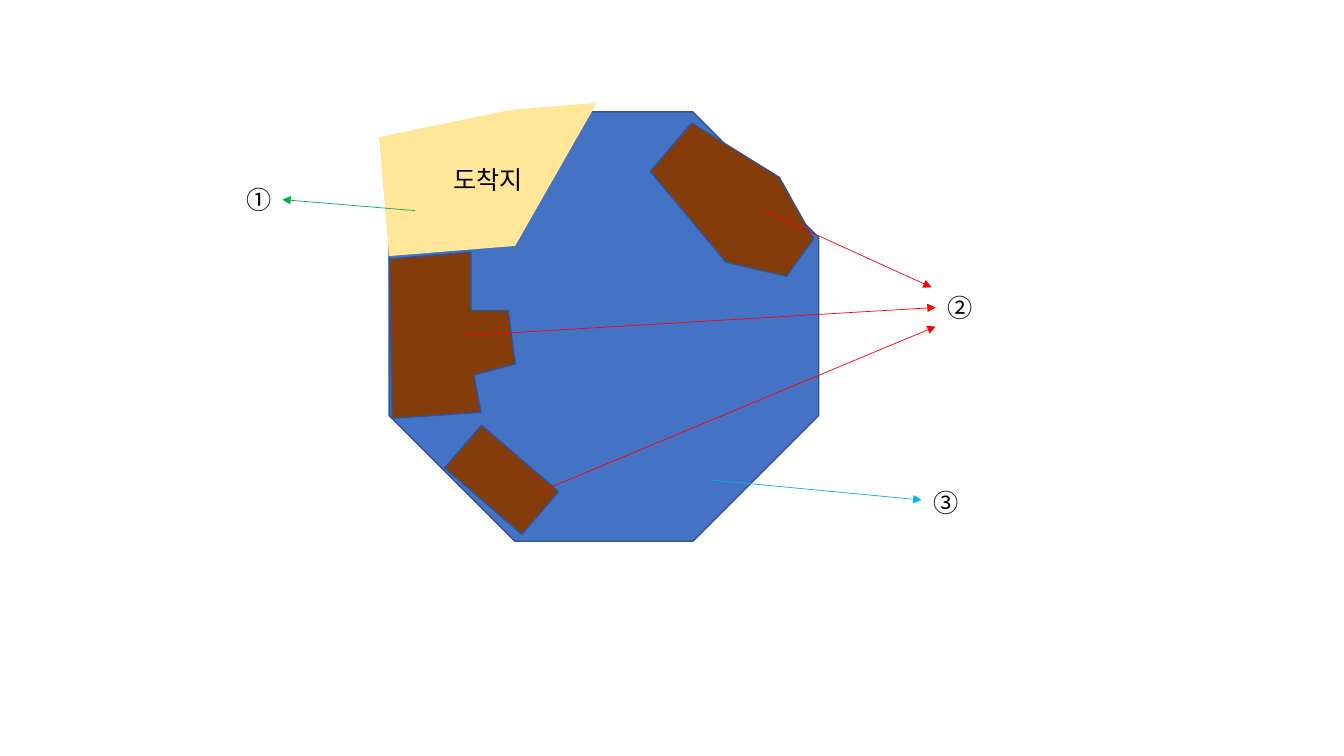
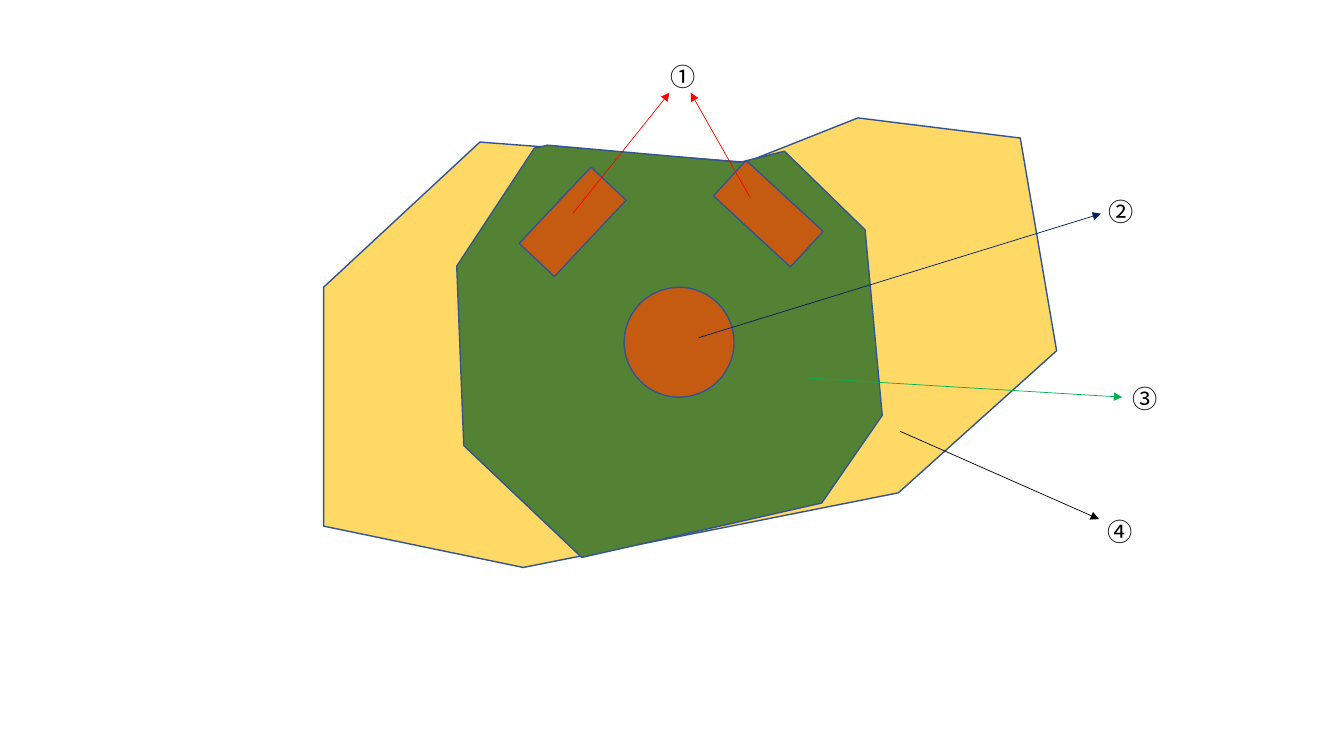
import pptx
import pptx.dml.color
import pptx.enum.dml
import pptx.enum.shapes
import pptx.enum.text
import pptx.oxml.ns
import pptx.util
import lxml.etree

PX = 9144
SHAPES = pptx.enum.shapes.MSO_SHAPE
COLORS = {
    "outline": "325491", "text": "000000", "pool": "4472C4", "goal": "FFE699",
    "obstacle": "843C0B", "sand": "FFD966", "grass": "548235", "block": "C55A11",
    "red": "FF0000", "green": "00B050", "sky": "00B0F0", "navy": "002060", "black": "000000",
}
FONT = {"name": "Noto Sans CJK KR", "size": pptx.util.Pt(18), "bold": False}
LABEL_FRAME = {"word_wrap": False, "auto_size": pptx.enum.text.MSO_AUTO_SIZE.SHAPE_TO_FIT_TEXT}
AREA_FRAME = {"word_wrap": True, "vertical_anchor": pptx.enum.text.MSO_ANCHOR.MIDDLE}
LABEL_WIDTH, LABEL_HEIGHT = 45, 40

SLIDES = [
    {
        "areas": [
            {"preset": SHAPES.OCTAGON, "at": (386, 111, 426, 426), "fill": "pool"},
            {"points": [(592, 102), (511, 244), (386, 254), (376, 136), (507, 109)],
             "fill": "goal", "outlined": False, "text": "도착지"},
            {"points": [(686, 122), (645, 170), (720, 260), (780, 274), (807, 237), (773, 176)],
             "fill": "obstacle"},
            {"points": [(386, 257), (389, 415), (477, 409), (470, 372), (511, 361),
                        (504, 308), (467, 308), (467, 250)],
             "fill": "obstacle"},
            {"preset": SHAPES.RECTANGLE, "at": (447, 448, 101, 56), "fill": "obstacle", "rotation": 40.7},
        ],
        "arrows": [
            (459, 333, 928, 305, "red"),
            (757, 209, 924, 285, "red"),
            (535, 488, 928, 324, "red"),
            (412, 209, 280, 198, "green"),
            (703, 476, 914, 496, "sky"),
        ],
        "labels": [("①", 235, 178), ("②", 930, 285), ("③", 916, 479)],
    },
    {
        "areas": [
            {"points": [(476, 141), (321, 285), (321, 522), (519, 563), (891, 489),
                        (1048, 348), (1012, 137), (851, 117), (740, 161)],
             "fill": "sand"},
            {"points": [(530, 147), (453, 264), (460, 442), (577, 553), (815, 499),
                        (875, 412), (858, 228), (778, 150), (734, 161), (543, 144)],
             "fill": "grass"},
            {"preset": SHAPES.RECTANGLE, "at": (516, 196, 104, 48), "fill": "block", "rotation": 313.2},
            {"preset": SHAPES.RECTANGLE, "at": (710, 188, 104, 48), "fill": "block", "rotation": 42.7},
            {"preset": SHAPES.OVAL, "at": (619, 285, 109, 109), "fill": "block"},
        ],
        "arrows": [
            (744, 196, 685, 92, "red"),
            (568, 212, 664, 92, "red"),
            (693, 335, 1092, 212, "navy"),
            (801, 375, 1113, 394, "green"),
            (893, 428, 1090, 515, "black"),
        ],
        "labels": [("①", 655, 56), ("②", 1090, 190), ("③", 1113, 375), ("④", 1089, 507)],
    },
]


def rgb(name):
    return pptx.dml.color.RGBColor.from_string(COLORS[name])


def write_text(box, text, frame_format, alignment):
    frame = box.text_frame
    for name, value in frame_format.items():
        setattr(frame, name, value)
    para = frame.paragraphs[0]
    para.alignment = alignment
    span = para.add_run()
    span.text = text
    for name, value in FONT.items():
        setattr(span.font, name, value)
    span.font.color.rgb = rgb("text")
    east_asian = lxml.etree.SubElement(span.font._element, pptx.oxml.ns.qn("a:ea"))
    east_asian.set("typeface", FONT["name"])


deck = pptx.Presentation()
deck.slide_width = 1333 * PX
deck.slide_height = 750 * PX

for content in SLIDES:
    page = deck.slides.add_slide(deck.slide_layouts[6])
    diagram = page.shapes.add_group_shape()

    for area in content["areas"]:
        if "points" in area:
            first, *others = area["points"]
            builder = diagram.shapes.build_freeform(*first, scale=PX)
            builder.add_line_segments(others, close=True)
            shape = builder.convert_to_shape()
        else:
            shape = diagram.shapes.add_shape(area["preset"], *[value * PX for value in area["at"]])
            shape.rotation = area.get("rotation", 0)
        shape.shadow.inherit = False
        shape.fill.solid()
        shape.fill.fore_color.rgb = rgb(area["fill"])
        if area.get("outlined", True):
            shape.line.color.rgb = rgb("outline")
            shape.line.width = pptx.util.Pt(1)
        else:
            shape.line.fill.background()
        if "text" in area:
            write_text(shape, area["text"], AREA_FRAME, pptx.enum.text.PP_ALIGN.CENTER)

    for *ends, color in content["arrows"]:
        arrow = page.shapes.add_connector(
            pptx.enum.shapes.MSO_CONNECTOR.STRAIGHT, *[value * PX for value in ends])
        arrow.line.color.rgb = rgb(color)
        arrow.line.width = pptx.util.Pt(0.5)
        head = lxml.etree.SubElement(arrow.line._get_or_add_ln(), pptx.oxml.ns.qn("a:tailEnd"))
        head.set("type", "triangle")
        lxml.etree.SubElement(arrow._element.spPr, pptx.oxml.ns.qn("a:effectLst"))

    for text, left, top in content["labels"]:
        box = page.shapes.add_textbox(left * PX, top * PX, LABEL_WIDTH * PX, LABEL_HEIGHT * PX)
        write_text(box, text, LABEL_FRAME, pptx.enum.text.PP_ALIGN.LEFT)

deck.save("out.pptx")
